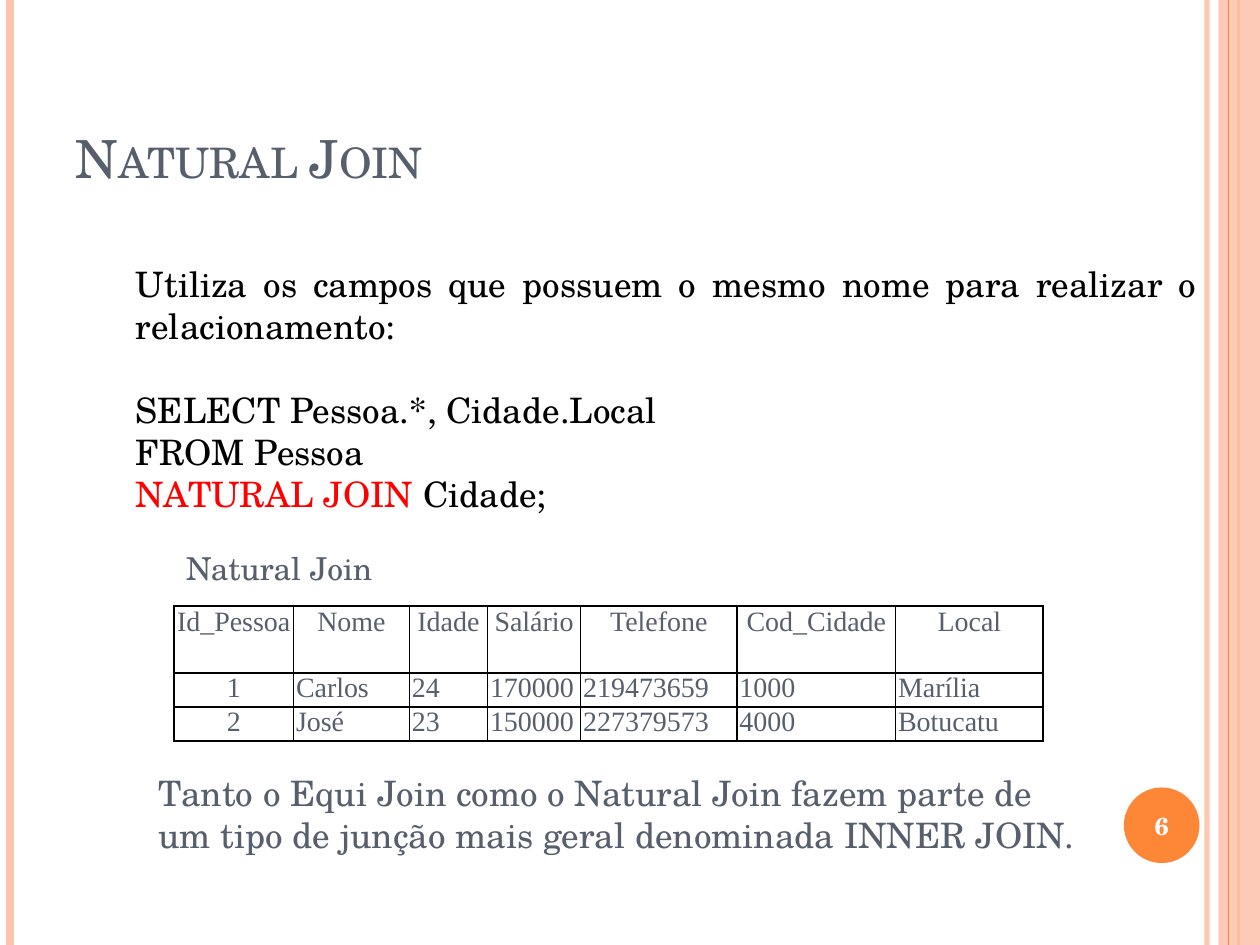
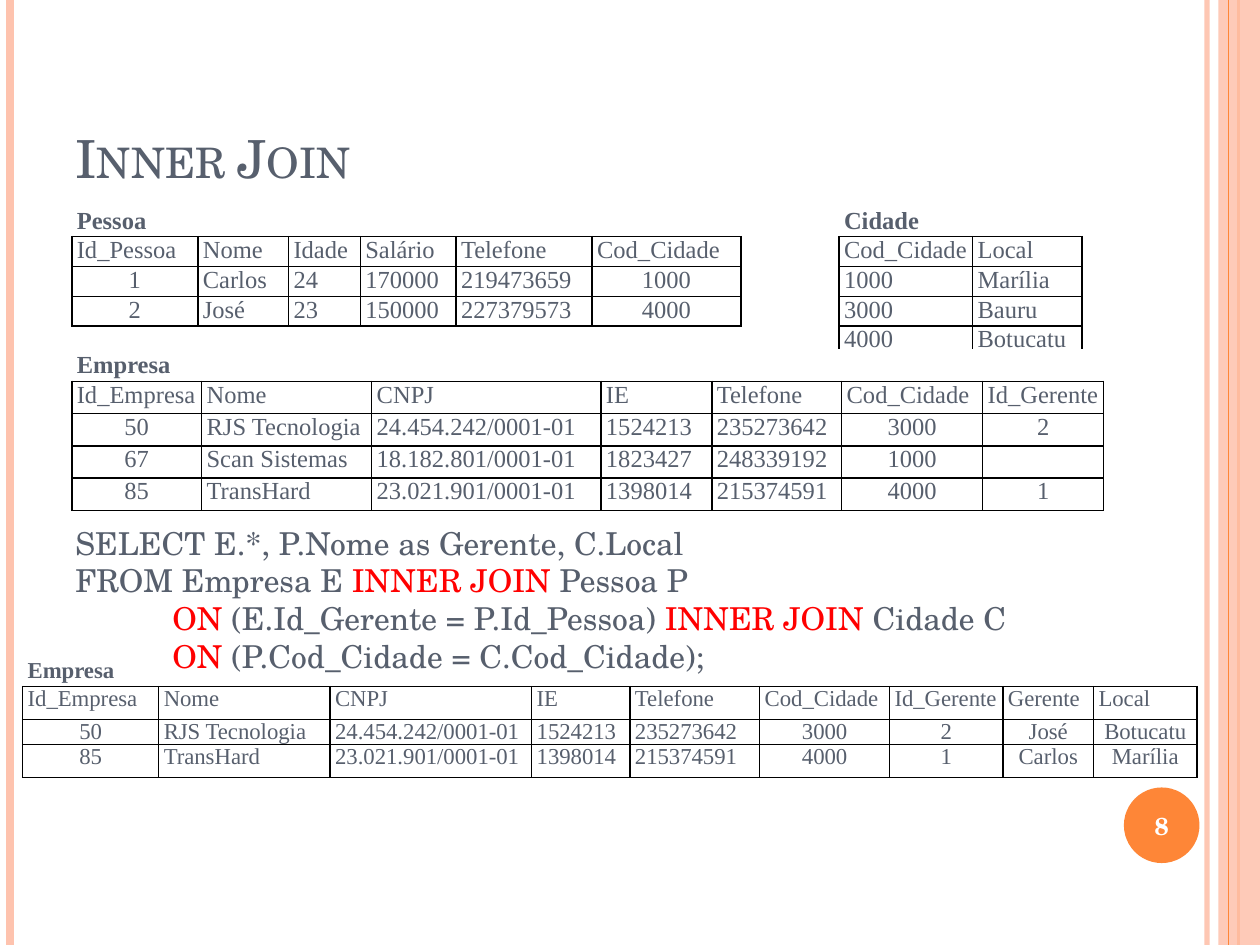
import pptx
import pptx.dml.color
import pptx.enum.shapes
import pptx.enum.text
import pptx.oxml
import pptx.oxml.ns
import pptx.util
from lxml import etree

Inches = pptx.util.Inches
Pt = pptx.util.Pt
ALIGN = pptx.enum.text.PP_ALIGN
ANCHOR = pptx.enum.text.MSO_ANCHOR
SHAPE = pptx.enum.shapes.MSO_SHAPE
qn = pptx.oxml.ns.qn

SERIF = "TeX Gyre Schola"
TABLE_FONT = "Times New Roman"
SLATE, ORANGE, PEACH = "575F6D", "FE8637", "FEC3AE"
RED, BLACK, WHITE = "FF0000", "000000", "FFFFFF"
PLAIN_TABLE = "{2D5ABB26-0587-4C30-8999-92F81FD0307C}"


def rgb(colour):
    return pptx.dml.color.RGBColor.from_string(colour)


def set_opacity(fill_parent, percent):
    colour = next(fill_parent.iter(qn("a:srgbClr")))
    etree.SubElement(colour, qn("a:alpha"), val=str(percent * 1000))


def write(frame, paragraphs, size=20, font=SERIF, colour=SLATE, bold=False,
          align=ALIGN.LEFT, anchor=ANCHOR.TOP, small_caps=False, indents=(), gaps=()):
    frame.word_wrap = True
    frame.vertical_anchor = anchor
    indents, gaps = dict(indents), dict(gaps)
    for index, spans in enumerate(paragraphs):
        para = frame.paragraphs[0] if index == 0 else frame.add_paragraph()
        para.alignment = align
        para.space_before = Pt(gaps.get(index, 0))
        if index in indents:
            para._p.get_or_add_pPr().set("marL", str(Inches(indents[index])))
        for text, *own_colour in spans:
            span = para.add_run()
            span.text = text
            span.font.size = Pt(size)
            span.font.name = font
            span.font.bold = bold
            span.font.color.rgb = rgb(own_colour[0] if own_colour else colour)
            if small_caps:
                span.font._element.set("cap", "small")


def add_text(page, left, top, width, height, paragraphs, **text_format):
    box = page.shapes.add_textbox(Inches(left), Inches(top), Inches(width), Inches(height))
    write(box.text_frame, paragraphs, **text_format)


def add_block(page, shape_type, left, top, width, height, colour):
    block = page.shapes.add_shape(shape_type, Inches(left), Inches(top),
                                  Inches(width), Inches(height))
    block.shadow.inherit = False
    block.fill.solid()
    block.fill.fore_color.rgb = rgb(colour)
    block.line.fill.background()
    return block


def add_stripe(page, x, height, colour, weight):
    stripe = page.shapes.add_connector(pptx.enum.shapes.MSO_CONNECTOR.STRAIGHT,
                                       Inches(x), 0, Inches(x), Inches(height))
    stripe.line.color.rgb = rgb(colour)
    stripe.line.width = Pt(weight)
    etree.SubElement(stripe._element.spPr, qn("a:effectLst"))
    return stripe


def add_bands(page, width, height):
    set_opacity(add_stripe(page, width - 0.42, height, PEACH, 3)._element.spPr, 93)
    add_stripe(page, 0.08, height, PEACH, 4.5)
    add_stripe(page, width - 0.17, height, ORANGE, 1.5)
    band = add_block(page, SHAPE.RECTANGLE, width - 0.33, 0, 0.33, height, PEACH)
    set_opacity(band._element.spPr, 87)
    add_stripe(page, width - 0.25, height, ORANGE, 0.75)


def add_page_number(page, left, top, size, number):
    badge = add_block(page, SHAPE.OVAL, left, top, size, size, ORANGE)
    frame = badge.text_frame
    frame.margin_left = frame.margin_right = 0
    write(frame, [[(str(number),)]], size=14, colour=WHITE, bold=True,
          align=ALIGN.CENTER, anchor=ANCHOR.MIDDLE)


def add_page(deck, title, number):
    page = deck.slides.add_slide(deck.slide_layouts[5])
    add_bands(page, 10, 7.5)
    add_page_number(page, 8.92, 6.25, 0.6, number)
    heading = page.shapes.title
    heading.left, heading.top = Inches(0.5), Inches(0.3)
    heading.width, heading.height = Inches(8.17), Inches(1.25)
    heading.text_frame.auto_size = pptx.enum.text.MSO_AUTO_SIZE.NONE
    write(heading.text_frame, [[(title,)]], size=30, anchor=ANCHOR.BOTTOM, small_caps=True)
    return page


def draw_borders(cell, row, column, is_boxed):
    neighbours = {"a:lnL": (row, column - 1), "a:lnR": (row, column + 1),
                  "a:lnT": (row - 1, column), "a:lnB": (row + 1, column)}
    properties = cell._tc.get_or_add_tcPr()
    for side, neighbour in neighbours.items():
        if is_boxed(row, column) or is_boxed(*neighbour):
            line = etree.SubElement(properties, qn(side), w=str(Pt(1)))
            fill = etree.SubElement(line, qn("a:solidFill"))
            etree.SubElement(fill, qn("a:srgbClr"), val=BLACK)


def add_data_table(page, left, top, widths, heights, rows, captions=(), centred=(),
                   header_align=ALIGN.LEFT, size=14, inset=0.04):
    captions = dict(captions)
    first = 1 if captions else 0
    if captions:
        rows = [[captions.get(column, (None,))[0] for column in range(len(widths))]] + rows

    def is_boxed(row, column):
        return (first <= row < len(rows) and 0 <= column < len(widths)
                and rows[row][column] is not None)

    table_shape = page.shapes.add_table(len(rows), len(widths), Inches(left), Inches(top),
                                        Inches(sum(widths)), Inches(sum(heights)))
    table = table_shape.table
    table.first_row = table.horz_banding = False
    table._tbl.tblPr.find(qn("a:tableStyleId")).text = PLAIN_TABLE
    for column, width in enumerate(widths):
        table.columns[column].width = Inches(width)
    for row, values in enumerate(rows):
        table.rows[row].height = Inches(heights[row])
        for column, value in enumerate(values):
            cell = table.cell(row, column)
            cell.margin_left = cell.margin_right = Inches(inset)
            cell.margin_top = cell.margin_bottom = 0
            draw_borders(cell, row, column, is_boxed)
            cell.fill.solid()
            cell.fill.fore_color.rgb = rgb(WHITE)
            if not value:
                end = etree.SubElement(cell.text_frame.paragraphs[0]._p, qn("a:endParaRPr"))
                end.set("sz", str(size * 100))
                continue
            align = header_align if row <= first else ALIGN.LEFT
            if row > first and column in centred:
                align = ALIGN.CENTER
            write(cell.text_frame, [[(value,)]], size=size, font=TABLE_FONT,
                  bold=row < first, align=align)
            cell.vertical_anchor = ANCHOR.MIDDLE if row < first else ANCHOR.TOP
    for column, (_, span) in captions.items():
        table.cell(0, column).merge(table.cell(0, column + span - 1))


PERSON_HEADER = ["Id_Pessoa", "Nome", "Idade", "Salário", "Telefone", "Cod_Cidade"]
CARLOS = ["1", "Carlos", "24", "170000", "219473659", "1000"]
JOSE = ["2", "José", "23", "150000", "227379573", "4000"]
COMPANY_HEADER = ["Id_Empresa", "Nome", "CNPJ", "IE", "Telefone", "Cod_Cidade", "Id_Gerente"]
RJS = ["50", "RJS Tecnologia", "24.454.242/0001-01", "1524213", "235273642", "3000", "2"]
SCAN = ["67", "Scan Sistemas", "18.182.801/0001-01", "1823427", "248339192", "1000", ""]
TRANSHARD = ["85", "TransHard", "23.021.901/0001-01", "1398014", "215374591", "4000", "1"]


def build_natural_join(deck):
    page = add_page(deck, "Natural Join", 6)
    add_text(page, 0.98, 2.02, 8.62, 2.12, [
        [("Utiliza os campos que possuem o mesmo nome para realizar o relacionamento:",)],
        [("SELECT Pessoa.*, Cidade.Local",)],
        [("FROM Pessoa",)],
        [("NATURAL JOIN ", RED), ("Cidade;",)],
    ], colour=BLACK, align=ALIGN.JUSTIFY, anchor=ANCHOR.MIDDLE, gaps={1: 24})
    add_text(page, 1.16, 6.07, 7.51, 0.77, [[(
        "Tanto o Equi Join como o Natural Join fazem parte de um tipo de junção "
        "mais geral denominada INNER JOIN.",)]])
    add_data_table(page, 1.38, 4.81, [0.95, 0.92, 0.62, 0.74, 1.24, 1.26, 1.17],
                   [0.53, 0.27, 0.27],
                   [PERSON_HEADER + ["Local"], CARLOS + ["Marília"], JOSE + ["Botucatu"]],
                   centred={0}, header_align=ALIGN.CENTER, size=16, inset=0.02)
    add_text(page, 1.38, 4.31, 1.97, 0.4, [[("Natural Join",)]], size=18)


def build_inner_join(deck):
    page = add_page(deck, "Inner Join", 8)
    add_data_table(page, 0.57, 1.64, [1, 0.72, 0.57, 0.76, 1.08, 1.18, 0.78, 1.06, 0.87],
                   [1.07 / 5] * 5,
                   [PERSON_HEADER + [None, "Cod_Cidade", "Local"],
                    CARLOS + [None, "1000", "Marília"],
                    JOSE + [None, "3000", "Bauru"],
                    [None] * 7 + ["4000", "Botucatu"]],
                   captions={0: ("Pessoa", 6), 7: ("Cidade", 2)}, centred={0, 5})
    add_data_table(page, 0.57, 2.77, [1.03, 1.35, 1.82, 0.88, 1.03, 1.12, 0.96],
                   [1.28 / 5] * 5, [COMPANY_HEADER, RJS, SCAN, TRANSHARD],
                   captions={0: ("Empresa", 6)}, centred={0, 5, 6})
    add_data_table(page, 0.18, 5.2, [1.08, 1.36, 1.6, 0.78, 1.03, 1.03, 0.9, 0.72, 0.82],
                   [0.25, 0.26, 0.2, 0.26],
                   [COMPANY_HEADER + ["Gerente", "Local"],
                    RJS + ["José", "Botucatu"], TRANSHARD + ["Carlos", "Marília"]],
                   captions={0: ("Empresa", 6)}, centred={0, 5, 6, 7, 8}, size=13)
    add_text(page, 0.5, 4.1, 8.61, 1.31, [
        [("SELECT E.*, P.Nome as Gerente, C.Local",)],
        [("FROM Empresa E ",), ("INNER JOIN ", RED), ("Pessoa P",)],
        [("ON ", RED), ("(E.Id_Gerente = P.Id_Pessoa) ",), ("INNER JOIN ", RED),
         ("Cidade C",)],
        [("ON", RED), (" (P.Cod_Cidade = C.Cod_Cidade);",)],
    ], size=18, align=ALIGN.JUSTIFY, anchor=ANCHOR.MIDDLE, indents={2: 0.77, 3: 0.77})


def main():
    deck = pptx.Presentation()
    deck.slide_width, deck.slide_height = Inches(10), Inches(7.5)
    build_natural_join(deck)
    build_inner_join(deck)
    deck.save("out.pptx")


if __name__ == "__main__":
    main()
